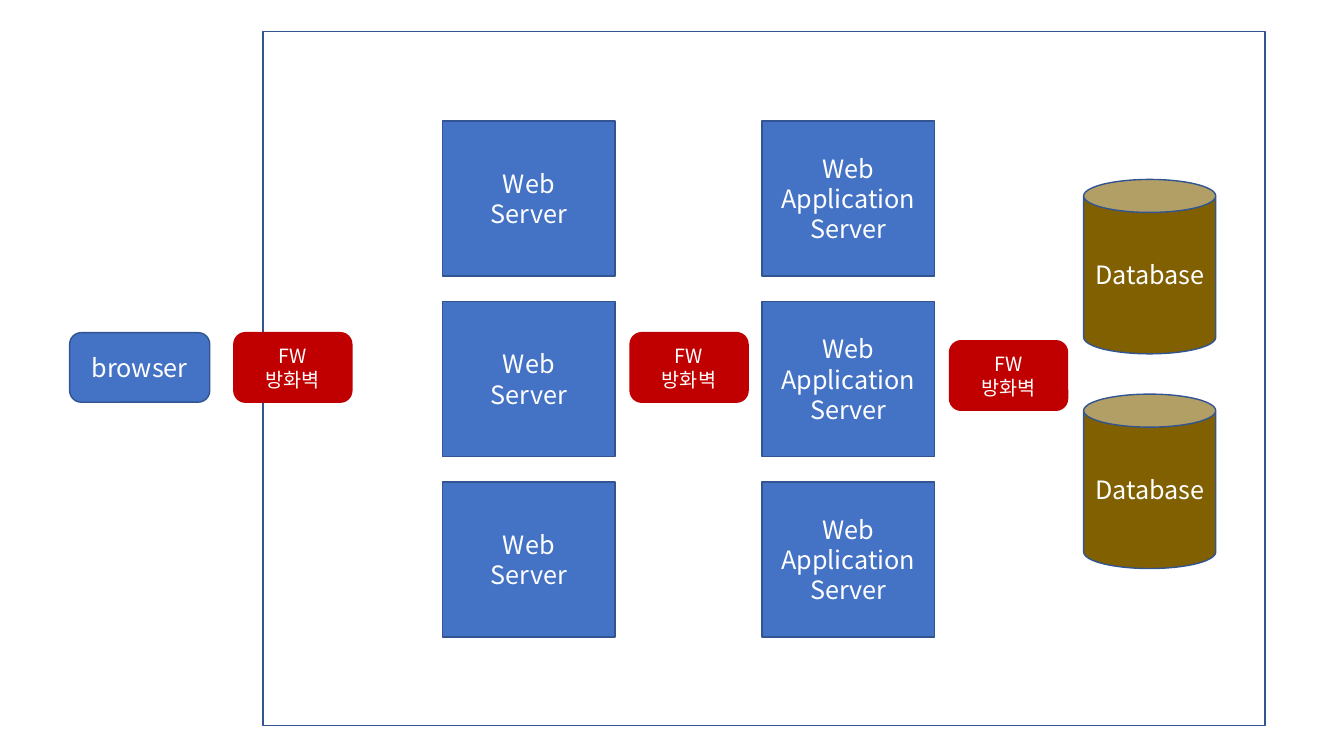
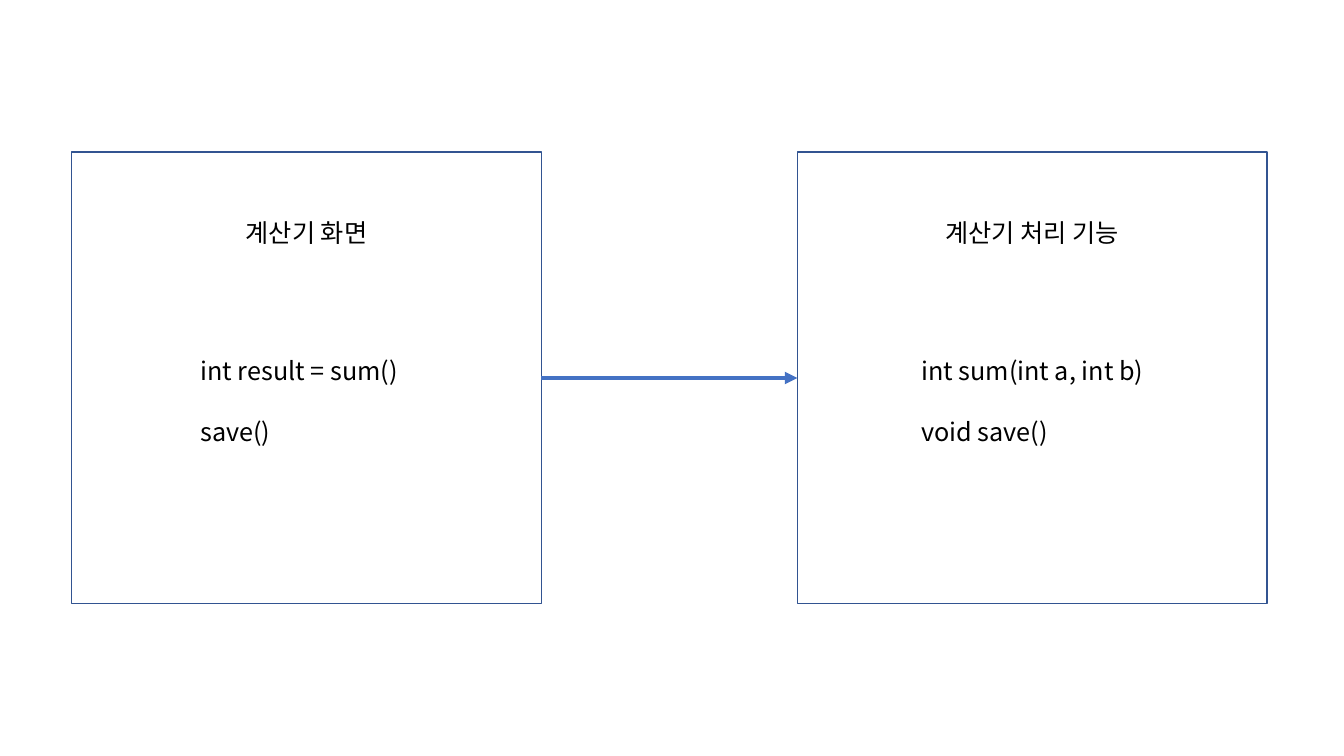
import collections

import lxml.etree
import pptx
import pptx.dml.color
import pptx.enum.shapes
import pptx.enum.text
import pptx.oxml.ns
import pptx.util

SHAPES = pptx.enum.shapes.MSO_SHAPE
ALIGN = pptx.enum.text.PP_ALIGN
ANCHOR = pptx.enum.text.MSO_ANCHOR

FONT = "Noto Sans CJK KR"
BLUE, DARK_BLUE, RED, BROWN = "4472C4", "325491", "C00000", "806000"
WHITE, BLACK = "FFFFFF", "000000"
TEXT_SIZE, SMALL_SIZE = 18, 14
LINE_HEIGHT = 1.2

Box = collections.namedtuple("Box", "left top width height")


def color(hex_string):
    """Turn a hex string into a colour."""
    return pptx.dml.color.RGBColor.from_string(hex_string)


def part(box, left, top, width, height):
    """Return the part of a box given in percent of its size."""
    return Box(
        int(box.left + box.width * left / 100),
        int(box.top + box.height * top / 100),
        int(box.width * width / 100),
        int(box.height * height / 100),
    )


def add_xml(parent, tag, **attributes):
    """Append a drawing element to a parent."""
    return lxml.etree.SubElement(parent, pptx.oxml.ns.qn(tag), attributes)


def write(text_frame, lines, size, font_color, align, gap=0):
    """Write one paragraph a line, with a gap in points between them."""
    for index, line in enumerate(lines):
        paragraph = text_frame.paragraphs[0] if index == 0 else text_frame.add_paragraph()
        paragraph.text = line
        paragraph.alignment = align
        paragraph.line_spacing = pptx.util.Pt(size * LINE_HEIGHT)
        paragraph.space_before = pptx.util.Pt(gap if index else 0)
        paragraph.font.size = pptx.util.Pt(size)
        paragraph.font.color.rgb = color(font_color)
        paragraph.font.name = FONT
        latin = paragraph._p.find(".//" + pptx.oxml.ns.qn("a:latin"))
        add_xml(latin.getparent(), "a:ea", typeface=FONT)


def add_block(slide, box, kind, fill=None, line=DARK_BLUE, lines=(), size=TEXT_SIZE, font_color=WHITE):
    """Add an outlined shape with centred text."""
    shape = slide.shapes.add_shape(kind, *box)
    shape.shadow.inherit = False
    if fill:
        shape.fill.solid()
        shape.fill.fore_color.rgb = color(fill)
    else:
        shape.fill.background()
    shape.line.color.rgb = color(line)
    shape.line.width = pptx.util.Pt(1)
    shape.text_frame.vertical_anchor = ANCHOR.MIDDLE
    write(shape.text_frame, lines, size, font_color, ALIGN.CENTER)
    return shape


def add_column(slide, box, count, step, kind, fill, lines):
    """Repeat a block downwards, one step in EMU apart, from the first box."""
    for row in range(count):
        add_block(slide, box._replace(top=box.top + row * step), kind, fill, lines=lines)


def add_network(slide, box):
    """Draw the browser, firewalls, server tiers and databases."""
    add_block(slide, part(box, 19.57, 4.13, 74.55, 91.87), SHAPES.RECTANGLE)
    add_block(slide, part(box, 5.18, 44, 10.43, 9.2), SHAPES.ROUNDED_RECTANGLE,
              BLUE, lines=["browser"])
    for left, top in ((17.4, 44), (46.88, 44), (70.65, 45.07)):
        add_block(slide, part(box, left, top, 8.78, 9.2), SHAPES.ROUNDED_RECTANGLE,
                  RED, RED, ["FW", "방화벽"], SMALL_SIZE)
    server_step = int(box.height * 0.2387)
    for left, lines in ((32.93, ["Web", "Server"]), (56.7, ["Web", "Application", "Server"])):
        add_column(slide, part(box, left, 16, 12.83, 20.53), 3, server_step,
                   SHAPES.RECTANGLE, BLUE, lines)
    add_column(slide, part(box, 80.63, 23.73, 9.83, 23.07), 2, int(box.height * 0.284),
               SHAPES.CAN, BROWN, ["Database"])


def add_panel(slide, box, heading, code, code_left, code_width):
    """Draw a panel with a heading and lines of code."""
    panel = add_block(slide, box, SHAPES.RECTANGLE, lines=[heading], font_color=BLACK)
    panel.text_frame.vertical_anchor = ANCHOR.TOP
    panel.text_frame.margin_top = pptx.util.Inches(0.65)
    text_box = slide.shapes.add_textbox(*part(box, code_left, 43.97, code_width, 22.54))
    text_box.text_frame.word_wrap = False
    text_box.text_frame.auto_size = pptx.enum.text.MSO_AUTO_SIZE.SHAPE_TO_FIT_TEXT
    write(text_box.text_frame, code, TEXT_SIZE, BLACK, ALIGN.LEFT, TEXT_SIZE * LINE_HEIGHT)
    return panel


def add_arrow(slide, source, target):
    """Join the right side of one shape to the left side of another."""
    arrow = slide.shapes.add_connector(pptx.enum.shapes.MSO_CONNECTOR.STRAIGHT, 0, 0, 0, 0)
    arrow.begin_connect(source, 3)
    arrow.end_connect(target, 1)
    arrow.line.color.rgb = color(BLUE)
    arrow.line.width = pptx.util.Pt(3)
    add_xml(arrow.line._get_or_add_ln(), "a:tailEnd", type="triangle")
    add_xml(arrow._element.spPr, "a:effectLst")


def add_calculator(slide, box):
    """Draw the calculator screen calling its processing functions."""
    screen = add_panel(slide, part(box, 5.33, 20.13, 34.95, 59.73), "계산기 화면",
                       ["int result = sum()", "save()"], 25.32, 47.21)
    processing = add_panel(slide, part(box, 59.33, 20.13, 34.95, 59.73), "계산기 처리 기능",
                           ["int sum(int a, int b)", "void save()"], 24.25, 51.72)
    add_arrow(slide, screen, processing)


presentation = pptx.Presentation()
presentation.slide_width = pptx.util.Inches(13.33)
presentation.slide_height = pptx.util.Inches(7.5)
page = Box(0, 0, presentation.slide_width, presentation.slide_height)
blank_layout = presentation.slide_layouts.get_by_name("Blank")
for draw in (add_network, add_calculator):
    draw(presentation.slides.add_slide(blank_layout), page)
presentation.save("out.pptx")
